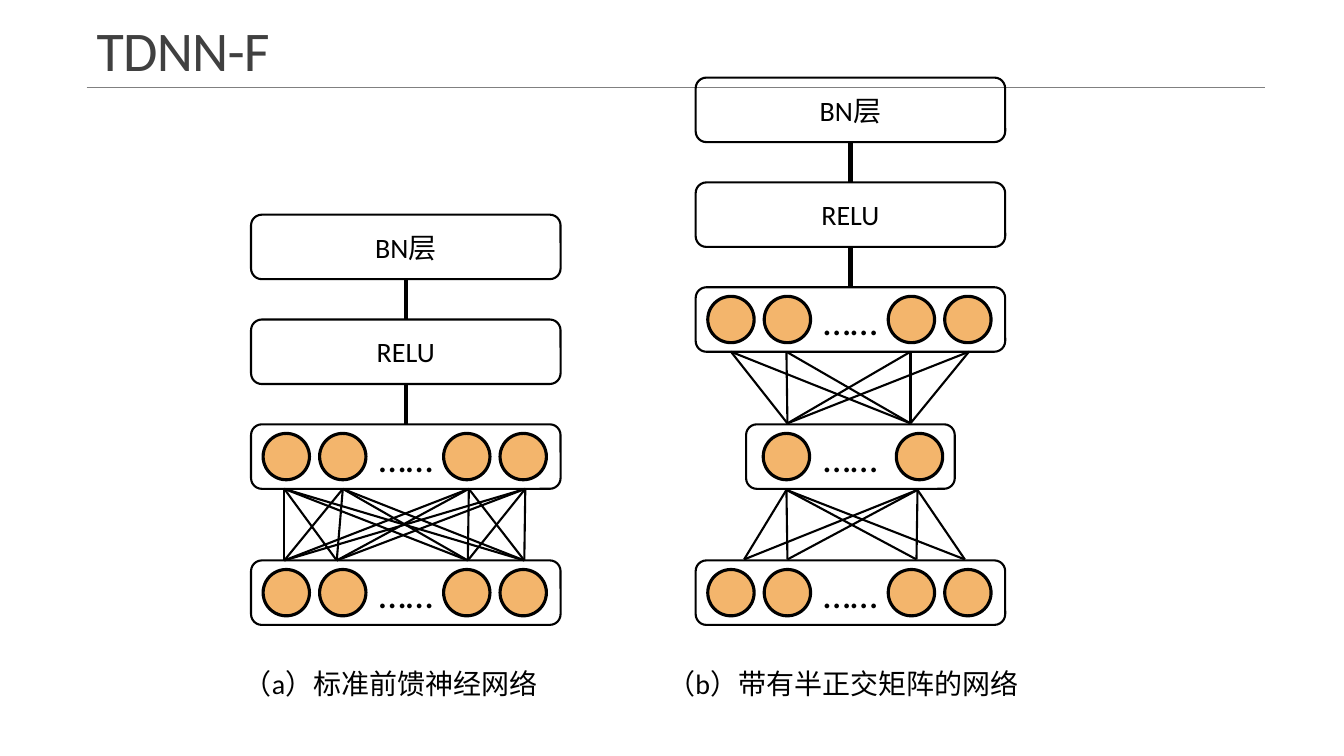
from dataclasses import dataclass
from itertools import product

from lxml.etree import SubElement
from pptx import Presentation
from pptx.dml.color import RGBColor
from pptx.enum.shapes import MSO_CONNECTOR, MSO_SHAPE
from pptx.enum.text import MSO_ANCHOR, PP_ALIGN
from pptx.oxml.ns import qn
from pptx.util import Inches, Pt


@dataclass(frozen=True)
class Theme:
    font: str = "Calibri"
    ink: RGBColor = RGBColor(0, 0, 0)
    heading: RGBColor = RGBColor(0x40, 0x40, 0x40)
    rule: RGBColor = RGBColor(0x80, 0x80, 0x80)
    neuron: RGBColor = RGBColor(0xF3, 0xB5, 0x6C)
    title_size: int = 40
    dots_size: int = 28
    label_size: int = 20


THEME = Theme()
LAYER_WIDTH, LAYER_HEIGHT = 3.07, 0.64
LAYER_STEP = 1.04
NEURON_SIZE = 0.46
FULL_OFFSETS = (0.12, 0.68, 1.91, 2.47)
BOTTLENECK_OFFSETS = (0.17, 1.49)


def set_format(target, values):
    for name, value in values.items():
        setattr(target, name, value)


def write(frame, text, size, color, paragraph_format):
    paragraph = frame.paragraphs[0]
    set_format(paragraph, paragraph_format)
    run = paragraph.add_run()
    run.text = text
    set_format(run.font, {"name": THEME.font, "size": Pt(size)})
    run.font.color.rgb = color
    return run


def add_line(slide, start, end, width=1.5, color=THEME.ink):
    x1, y1, x2, y2 = map(Inches, (*start, *end))
    line = slide.shapes.add_connector(MSO_CONNECTOR.STRAIGHT, x1, y1, x2, y2)
    line.line.color.rgb = color
    line.line.width = Pt(width)
    SubElement(line._element.spPr, qn("a:effectLst"))


def add_outlined(slide, kind, left, top, width, height, weight):
    shape = slide.shapes.add_shape(kind, *map(Inches, (left, top, width, height)))
    shape.shadow.inherit = False
    shape.line.color.rgb = THEME.ink
    shape.line.width = Pt(weight)
    return shape


def add_layer(slide, left, top, label, size=THEME.label_size, width=LAYER_WIDTH):
    layer = add_outlined(slide, MSO_SHAPE.ROUNDED_RECTANGLE, left, top, width, LAYER_HEIGHT, 1.5)
    layer.fill.background()
    layer.text_frame.vertical_anchor = MSO_ANCHOR.MIDDLE
    write(layer.text_frame, label, size, THEME.ink, {"alignment": PP_ALIGN.CENTER})


def add_neuron_layer(slide, left, top, offsets=FULL_OFFSETS, width=LAYER_WIDTH):
    add_layer(slide, left, top, "……", THEME.dots_size, width)
    neuron_top = top + (LAYER_HEIGHT - NEURON_SIZE) / 2
    for offset in offsets:
        neuron = add_outlined(slide, MSO_SHAPE.FLOWCHART_CONNECTOR, left + offset,
                              neuron_top, NEURON_SIZE, NEURON_SIZE, 2.25)
        neuron.fill.solid()
        neuron.fill.fore_color.rgb = THEME.neuron


def add_mesh(slide, upper_xs, upper_y, lower_xs, lower_y):
    for upper_x, lower_x in product(upper_xs, lower_xs):
        add_line(slide, (upper_x, upper_y), (lower_x, lower_y))


def add_activation_stack(slide, left, top):
    center = left + LAYER_WIDTH / 2
    for level, label in enumerate(("BN层", "RELU")):
        layer_top = top + level * LAYER_STEP
        add_layer(slide, left, layer_top, label)
        add_line(slide, (center, layer_top + LAYER_HEIGHT), (center, layer_top + LAYER_STEP), 3)
    add_neuron_layer(slide, left, top + 2 * LAYER_STEP)


def add_text(slide, left, top, width, height, text, size, color,
             anchor=MSO_ANCHOR.TOP, paragraph_format=None):
    box = slide.shapes.add_textbox(*map(Inches, (left, top, width, height)))
    set_format(box.text_frame, {"word_wrap": True, "vertical_anchor": anchor})
    return write(box.text_frame, text, size, color, paragraph_format or {})


def add_heading(slide):
    add_line(slide, (0.86, 0.87), (12.55, 0.87), 0.5, THEME.rule)
    heading = add_text(slide, 0.86, 0.13, 11.7, 0.74, "TDNN-F", THEME.title_size,
                       THEME.heading, MSO_ANCHOR.BOTTOM, {"line_spacing": 0.85})
    heading.font._element.set("spc", "-50")


def add_standard_network(slide):
    add_activation_stack(slide, 2.49, 2.13)
    add_neuron_layer(slide, 2.49, 5.56)
    add_mesh(slide, (2.82, 3.4, 4.65, 5.21), 4.85, (2.82, 3.34, 4.64, 5.2), 5.56)
    add_text(slide, 2.32, 6.56, 3.4, 0.44, "（a）标准前馈神经网络",
             THEME.label_size, THEME.ink)


def add_semi_orthogonal_network(slide):
    add_activation_stack(slide, 6.9, 0.77)
    add_neuron_layer(slide, 7.4, 4.21, BOTTLENECK_OFFSETS, 2.07)
    add_neuron_layer(slide, 6.9, 5.56)
    add_mesh(slide, (7.25, 7.8, 9.03, 9.61), 3.49, (7.81, 9.03), 4.2)
    add_mesh(slide, (7.8, 9.1), 4.86, (7.38, 7.81, 9.09, 9.57), 5.55)
    add_text(slide, 6.52, 6.56, 4.33, 0.44, "（b）带有半正交矩阵的网络",
             THEME.label_size, THEME.ink)


def main():
    deck = Presentation()
    set_format(deck, {"slide_width": Inches(13.33), "slide_height": Inches(7.5)})
    slide = deck.slides.add_slide(deck.slide_layouts[6])
    add_heading(slide)
    add_standard_network(slide)
    add_semi_orthogonal_network(slide)
    deck.save("out.pptx")


if __name__ == "__main__":
    main()
